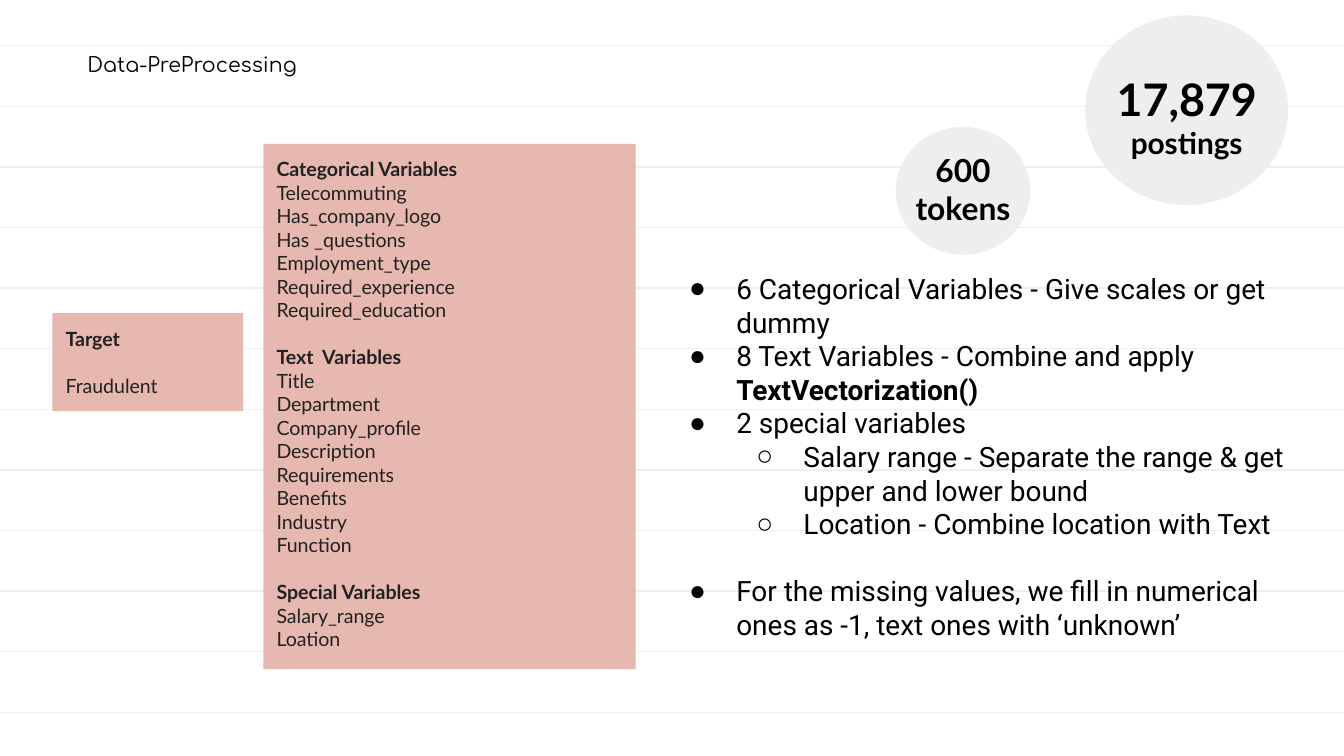
from dataclasses import dataclass

from lxml.etree import SubElement
from pptx import Presentation
from pptx.dml.color import RGBColor
from pptx.enum.shapes import MSO_CONNECTOR, MSO_SHAPE
from pptx.enum.text import MSO_ANCHOR, MSO_AUTO_SIZE, PP_ALIGN
from pptx.oxml.ns import qn
from pptx.util import Inches, Pt


@dataclass(frozen=True)
class Theme:
    """Colours, fonts and type sizes of the slide."""
    black: str = "000000"
    ink: str = "212121"
    panel: str = "E6B8AF"
    grey: str = "EEEEEE"
    title_font: str = "Comfortaa"
    label_font: str = "Lato"
    body_font: str = "Roboto"
    bullet_font: str = "Arial"
    title_size: float = 11
    label_size: float = 10.5
    body_size: float = 15
    label_gap: float = 12.6
    body_gap: float = 18


THEME = Theme()
TITLE = "Data-PreProcessing"

# Each panel: box, then groups of (heading, entries, gap between heading and entries)
PANELS = [
    ((0.39, 2.33, 1.42, 0.73), [("Target", ["Fraudulent"], THEME.label_gap)]),
    ((1.96, 1.07, 2.77, 3.91), [
        ("Categorical Variables",
         ["Telecommuting", "Has_company_logo", "Has _questions", "Employment_type",
          "Required_experience", "Required_education"], 0),
        ("Text  Variables",
         ["Title", "Department", "Company_profile", "Description", "Requirements",
          "Benefits", "Industry", "Function"], 0),
        ("Special Variables", ["Salary_range", "Loation"], 0),
    ]),
]

# Each bullet: level, space before, runs of (text, bold)
BULLETS = [
    (0, 0, [("6 Categorical Variables - Give scales or get dummy", False)]),
    (0, 0, [("8 Text Variables - Combine and apply ", False),
            ("TextVectorization()", True)]),
    (0, 0, [("2 special variables ", False)]),
    (1, 0, [("Salary range - Separate the range & get upper and lower bound", False)]),
    (1, 0, [("Location - Combine location with Text", False)]),
    (0, THEME.body_gap, [("For the missing values, we fill in numerical ones as -1, "
                          "text ones with \u2018unknown\u2019", False)]),
]

# Each badge: circle box, text box, lines of (text, size)
BADGES = [
    ((8.08, 0.12, 1.5, 1.4), (8.08, 0.43, 1.5, 0.88), [("17,879", 24), ("postings", 16)]),
    ((6.67, 0.95, 0.99, 0.94), (6.67, 1.02, 0.99, 0.77), [("600", 17), ("tokens", 17)]),
]

RULE_COUNT, RULE_TOP, RULE_BOTTOM, RULE_WIDTH = 12, 0.34, 5.3, 10.03


def inches(box):
    """Convert a box of numbers to lengths."""
    return [Inches(value) for value in box]


def prepare_frame(shape):
    """Set wrapping, insets and top anchoring, and return the text frame."""
    frame = shape.text_frame
    frame.word_wrap = True
    frame.auto_size = MSO_AUTO_SIZE.NONE
    frame.vertical_anchor = MSO_ANCHOR.TOP
    frame.margin_left = frame.margin_right = Inches(0.1)
    frame.margin_top = frame.margin_bottom = Inches(0.1)
    return frame


def add_paragraph(frame, runs, font, size, color, align=PP_ALIGN.LEFT, before=0):
    """Write runs of (text, bold) in the first free paragraph."""
    paragraph = frame.paragraphs[0]
    if paragraph.runs:
        paragraph = frame.add_paragraph()
    paragraph.alignment = align
    paragraph.space_before = Pt(before)
    for text, bold in runs:
        run = paragraph.add_run()
        run.text = text
        run.font.name = font
        run.font.size = Pt(size)
        run.font.bold = bold
        run.font.color.rgb = RGBColor.from_string(color)
    return paragraph


def add_bullet(paragraph, level):
    """Give a paragraph the hanging bullet of its level."""
    paragraph.level = level
    properties = paragraph._p.get_or_add_pPr()
    properties.set("marL", str(Inches(0.5 * (level + 1))))
    properties.set("indent", str(Inches(-0.35)))
    color = SubElement(properties, qn("a:buClr"))
    SubElement(color, qn("a:srgbClr"), val=THEME.black)
    SubElement(properties, qn("a:buFont"), typeface=THEME.bullet_font)
    SubElement(properties, qn("a:buChar"), char="\u25cf\u25cb"[level])


def add_filled_shape(slide, kind, box, color, outlined=False):
    """Add a flat shape with one colour."""
    shape = slide.shapes.add_shape(kind, *inches(box))
    shape.shadow.inherit = False
    shape.fill.solid()
    shape.fill.fore_color.rgb = RGBColor.from_string(color)
    if outlined:
        shape.line.color.rgb = RGBColor.from_string(color)
        shape.line.width = Pt(0.75)
    else:
        shape.line.fill.background()
    return shape


def add_rules(slide):
    """Draw the evenly spaced notebook lines."""
    step = (RULE_BOTTOM - RULE_TOP) / (RULE_COUNT - 1)
    for index in range(RULE_COUNT):
        y = Inches(RULE_TOP + index * step)
        rule = slide.shapes.add_connector(MSO_CONNECTOR.STRAIGHT, 0, y,
                                          Inches(RULE_WIDTH), y)
        rule.line.color.rgb = RGBColor.from_string(THEME.grey)
        rule.line.width = Pt(0.75)
        SubElement(rule._element.spPr, qn("a:effectLst"))


def add_title(slide):
    """Place and format the title placeholder."""
    title = slide.shapes.title
    title.left, title.top, title.width, title.height = inches((0.55, 0.29, 7.97, 0.8))
    add_paragraph(prepare_frame(title), [(TITLE, False)],
                  THEME.title_font, THEME.title_size, THEME.black)


def add_panel(slide, box, groups):
    """Add a panel with its headed lists of variables."""
    frame = prepare_frame(add_filled_shape(slide, MSO_SHAPE.RECTANGLE, box, THEME.panel))
    style = (THEME.label_font, THEME.label_size, THEME.ink)
    for group_index, (heading, entries, gap) in enumerate(groups):
        add_paragraph(frame, [(heading, True)], *style,
                      before=THEME.label_gap if group_index else 0)
        for index, entry in enumerate(entries):
            add_paragraph(frame, [(entry, False)], *style, before=0 if index else gap)


def add_steps(slide):
    """Add the bulleted list of processing steps."""
    frame = prepare_frame(slide.shapes.add_textbox(*inches((4.88, 1.92, 4.88, 3.45))))
    for level, before, runs in BULLETS:
        paragraph = add_paragraph(frame, runs, THEME.body_font, THEME.body_size,
                                  THEME.black, before=before)
        add_bullet(paragraph, level)


def add_badge(slide, circle_box, text_box, lines):
    """Add a circle with centred bold lines over it."""
    add_filled_shape(slide, MSO_SHAPE.OVAL, circle_box, THEME.grey, outlined=True)
    frame = prepare_frame(slide.shapes.add_textbox(*inches(text_box)))
    for text, size in lines:
        add_paragraph(frame, [(text, True)], THEME.label_font, size, THEME.black,
                      PP_ALIGN.CENTER)


def build():
    """Build and save the widescreen slide."""
    presentation = Presentation()
    presentation.slide_width = Inches(10)
    presentation.slide_height = Inches(10 * 9 / 16)
    slide = presentation.slides.add_slide(presentation.slide_layouts[5])
    add_rules(slide)
    add_title(slide)
    add_steps(slide)
    for panel in PANELS:
        add_panel(slide, *panel)
    for badge in BADGES:
        add_badge(slide, *badge)
    presentation.save("out.pptx")


build()
